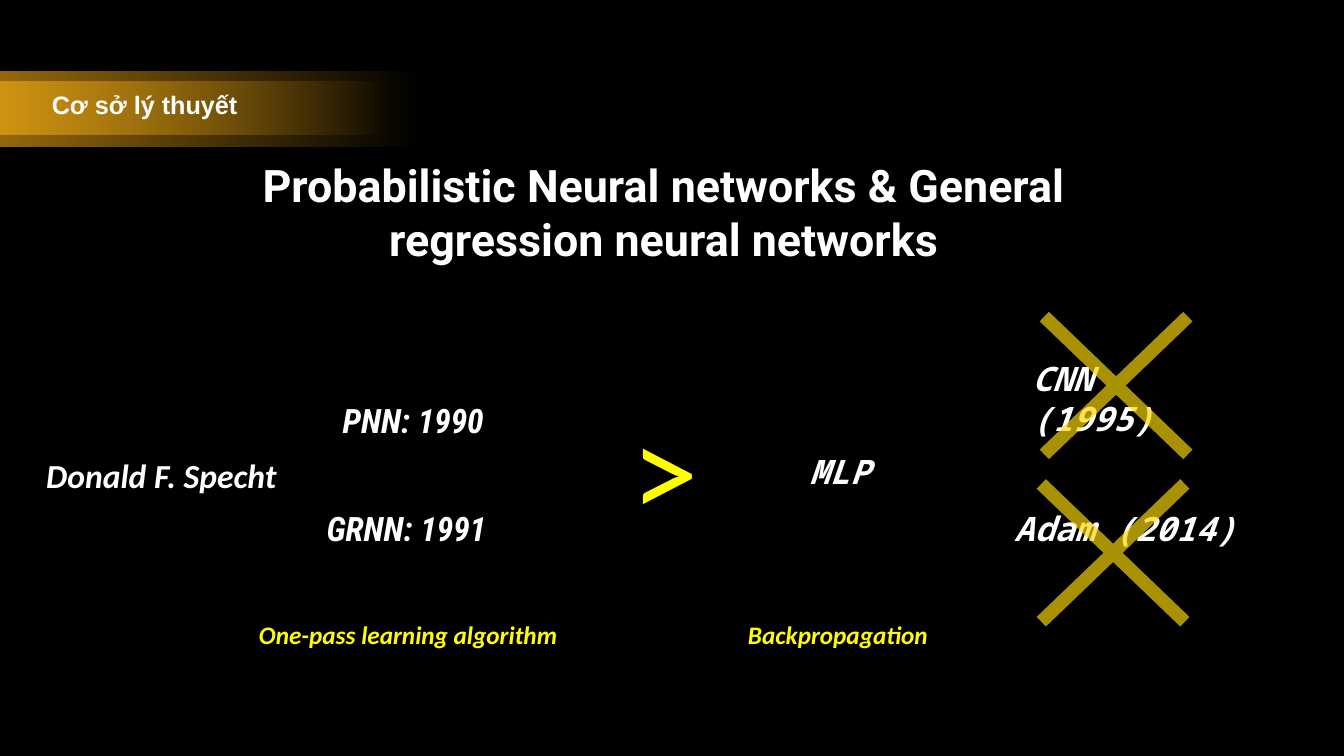
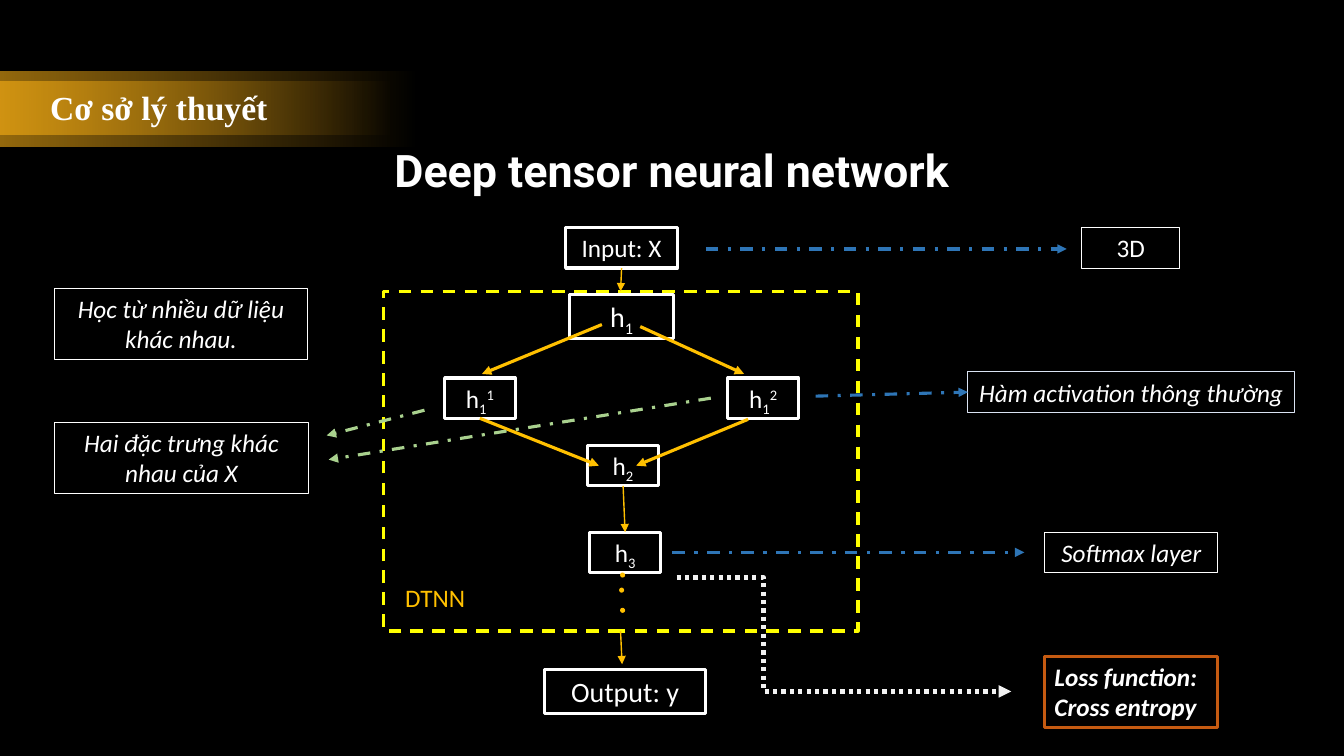
"""Build two slides on the theory of neural networks."""
from dataclasses import dataclass, field
from pptx import Presentation
from pptx.dml.color import RGBColor
from pptx.enum.dml import MSO_LINE
from pptx.enum.shapes import MSO_CONNECTOR, MSO_SHAPE
from pptx.enum.text import MSO_ANCHOR, MSO_AUTO_SIZE, PP_ALIGN
from pptx.oxml.ns import qn
from pptx.oxml.xmlchemy import OxmlElement
from pptx.util import Pt

RECT, OVAL, CROSS = MSO_SHAPE.RECTANGLE, MSO_SHAPE.OVAL, MSO_SHAPE.MATH_MULTIPLY
LEFT, MID = PP_ALIGN.LEFT, PP_ALIGN.CENTER
TOP, CENTER = MSO_ANCHOR.TOP, MSO_ANCHOR.MIDDLE
DASH, DASHDOT, DOT = MSO_LINE.DASH, MSO_LINE.DASH_DOT, MSO_LINE.ROUND_DOT
STRAIGHT, ELBOW = MSO_CONNECTOR.STRAIGHT, MSO_CONNECTOR.ELBOW
GROW = MSO_AUTO_SIZE.SHAPE_TO_FIT_TEXT
PX = 9144
WIDE, HIGH = 1333, 750


def face(name, size, color="FFFFFF", bold=False, italic=False):
    return {"color": color, "font": {"name": name, "size": Pt(size), "bold": bold, "italic": italic}}


@dataclass
class Theme:
    back: str = "000000"
    gold: str = "FAB117"
    cross: str = "FAD706"
    amber: str = "FFC000"
    text: dict = field(default_factory=lambda: {
        "title": face("Roboto", 32, bold=True),
        "arial": face("Arial", 18, bold=True),
        "times": face("Times New Roman", 24, bold=True),
        "name": face("Calibri", 24, bold=True, italic=True),
        "year": face("Roboto Condensed", 24, bold=True, italic=True),
        "mono": face("Noto Sans Mono", 24, bold=True, italic=True),
        "note": face("Calibri", 18, "FFFF00", True, True),
        "sign": face("Calibri", 96, "FFFF00"),
        "node": face("Calibri", 18),
        "big": face("Calibri", 20),
        "side": face("Calibri", 18, italic=True),
        "loss": face("Calibri", 18, bold=True, italic=True),
        "tag": face("Calibri", 18, "FFC000"),
    })
    line: dict = field(default_factory=lambda: {
        "node": ("FFFFFF", 2.25, None),
        "side": ("FFFFFF", 0.75, None),
        "pale": ("DAE3F3", 0.75, None),
        "loss": ("C55A11", 2.25, None),
        "frame": ("FFFF00", 2.25, DASH),
        "thin": ("FFC000", 1, None),
        "flow": ("FFC000", 2.25, None),
        "blue": ("2E75B6", 2.25, DASHDOT),
        "green": ("A9D18E", 2.25, DASHDOT),
        "dots": ("F2F2F2", 3, DOT),
    })


THEME = Theme()
BANDS = [(0, 71, 417, 74), (0, 81, 392, 53)]
HEAD = "Cơ sở lý thuyết"

SPECHT = {
    "head": ("arial", (0, 84, 287, 40)),
    "title": ("Probabilistic Neural networks & General regression neural networks", (196, 152, 925, 118)),
    "labels": [
        ("Donald F. Specht", "name", (36, 446, 294, 50)),
        ("PNN: 1990", "year", (330, 392, 181, 50)),
        ("GRNN: 1991", "year", (314, 499, 181, 50)),
        ("One-pass learning algorithm", "note", (247, 609, 317, 40)),
        (">", "sign", (617, 377, 107, 172)),
        ("MLP", "mono", (793, 442, 107, 50)),
        ("Backpropagation", "note", (732, 609, 230, 40)),
        ("CNN (1995)", "mono", (1014, 350, 209, 50)),
        ("Adam (2014)", "mono", (996, 499, 250, 50)),
    ],
    "crosses": [(970, 251, 274, 263), (967, 417, 274, 263)],
}

TENSOR = {
    "head": ("times", (0, 81, 315, 50)),
    "title": ("Deep tensor neural network", (269, 137, 795, 64)),
    "labels": [("DTNN", "tag", (392, 573, 86, 40))],
    "boxes": {
        "frame": ("", "node", "frame", (380, 289, 471, 337), MID),
        "input": ("Input: X", "node", "node", (561, 226, 111, 40), MID),
        "h1": ("h_1", "big", "node", (565, 292, 103, 44), MID),
        "h11": ("h_1^1", "node", "node", (441, 375, 70, 40), MID),
        "h12": ("h_1^2", "node", "node", (722, 375, 70, 40), MID),
        "h2": ("h_2", "node", "node", (583, 442, 70, 40), MID),
        "h3": ("h_3", "node", "node", (585, 528, 70, 40), MID),
        "output": ("Output: y", "big", "node", (540, 664, 160, 44), MID),
        "shape": ("3D", "node", "side", (1073, 226, 97, 40), MID),
        "active": ("Hàm activation thông thường", "side", "pale", (960, 369, 324, 40), MID),
        "soft": ("Softmax layer", "side", "side", (1036, 528, 172, 40), MID),
        "loss": ("Loss function: Cross entropy", "loss", "loss", (1036, 651, 172, 71), LEFT),
        "learn": ("Học từ nhiều dữ liệu khác nhau.", "side", "side", (54, 286, 251, 71), MID),
        "traits": ("Hai đặc trưng khác nhau của X", "side", "side", (54, 419, 252, 71), MID),
    },
    "links": [
        ("thin", ("input", 2), ("frame", 0)),
        ("thin", ("h2", 2), ("h3", 0)),
        ("thin", ("frame", 2), (617, 659)),
        ("flow", (635, 324), (738, 371)),
        ("flow", (597, 322), (478, 371)),
        ("flow", ("h11", 2), (594, 462)),
        ("flow", (742, 416), (631, 462)),
        ("blue", (809, 393), ("active", 1)),
        ("blue", (700, 247), (1058, 247)),
        ("blue", (667, 548), (1016, 548)),
        ("green", (421, 407), (324, 432)),
        ("green", (705, 395), (326, 456)),
    ],
    "bend": ("dots", (671, 573), (1003, 686), 26000),
    "dots": [(615, 568), (614, 583), (615, 603)],
}


def emu(nums):
    return [n * PX for n in nums]


def rgb(code):
    return RGBColor.from_string(code)


def child(node, tag, **attrs):
    item = OxmlElement(tag)
    for key, val in attrs.items():
        item.set(key, val)
    node.append(item)
    return item


def fade(shape, parts):
    for node, part in zip(shape._element.spPr.iter(qn("a:srgbClr")), parts):
        child(node, "a:alpha", val=str(part * 1000))


def split(text):
    """Yield runs with their baseline; _ lowers and ^ raises the next letter."""
    base, word = 0, ""
    for sign in text:
        if sign in "_^":
            if word:
                yield word, base
            base, word = (-25000 if sign == "_" else 30000), ""
        else:
            word += sign
    yield word, base


def write(shape, text, kind, align=LEFT, anchor=TOP):
    frame, look = shape.text_frame, THEME.text[kind]
    for key, val in {"word_wrap": True, "auto_size": GROW, "vertical_anchor": anchor}.items():
        setattr(frame, key, val)
    para = frame.paragraphs[0]
    para.alignment = align
    for word, base in split(text):
        run = para.add_run()
        run.text = word
        for key, val in look["font"].items():
            setattr(run.font, key, val)
        run.font.color.rgb = rgb(look["color"])
        if base:
            run._r.get_or_add_rPr().set("baseline", str(base))


def label(slide, text, kind, spot, align=LEFT, anchor=TOP):
    write(slide.shapes.add_textbox(*emu(spot)), text, kind, align, anchor)


def stroke(line, kind):
    color, width, dash = THEME.line[kind]
    line.color.rgb = rgb(color)
    line.width = Pt(width)
    if dash:
        line.dash_style = dash


def solid(slide, form, spot, color=None):
    shape = slide.shapes.add_shape(form, *emu(spot))
    shape.shadow.inherit = False
    shape.line.fill.background()
    if color:
        shape.fill.solid()
        shape.fill.fore_color.rgb = rgb(color)
    else:
        shape.fill.background()
    return shape


def box(slide, text, kind, edge, spot, align):
    shape = solid(slide, RECT, spot)
    stroke(shape.line, edge)
    if text:
        write(shape, text, kind, align)
    return shape


def link(slide, kind, start, end, boxes, form=STRAIGHT):
    ends = [(0, 0) if spot[0] in boxes else emu(spot) for spot in (start, end)]
    wire = slide.shapes.add_connector(form, *ends[0], *ends[1])
    for spot, join in ((start, wire.begin_connect), (end, wire.end_connect)):
        if spot[0] in boxes:
            join(boxes[spot[0]], spot[1])
    stroke(wire.line, kind)
    child(wire.line._get_or_add_ln(), "a:tailEnd", type="triangle")
    child(wire._element.spPr, "a:effectLst")
    return wire


def base(deck, data):
    slide = deck.slides.add_slide(deck.slide_layouts[6])
    slide.background.fill.solid()
    slide.background.fill.fore_color.rgb = rgb(THEME.back)
    for spot in BANDS:
        band = solid(slide, RECT, spot)
        band.fill.gradient()
        band.fill.gradient_angle = 0
        for stop in band.fill.gradient_stops:
            stop.color.rgb = rgb(THEME.gold)
        fade(band, (60, 0))
    kind, spot = data["head"]
    label(slide, HEAD, kind, spot, MID, CENTER)
    text, spot = data["title"]
    label(slide, text, "title", spot, MID)
    for item in data["labels"]:
        label(slide, *item)
    return slide


def specht(deck):
    slide = base(deck, SPECHT)
    for spot in SPECHT["crosses"]:
        mark = solid(slide, CROSS, spot, THEME.cross)
        mark.adjustments[0] = 0.05
        fade(mark, (68,))


def tensor(deck):
    slide = base(deck, TENSOR)
    boxes = {name: box(slide, *item) for name, item in TENSOR["boxes"].items()}
    for kind, start, end in TENSOR["links"]:
        link(slide, kind, start, end, boxes)
    kind, start, end, turn = TENSOR["bend"]
    wire = link(slide, kind, start, end, boxes, ELBOW)
    guides = next(wire._element.iter(qn("a:avLst")))
    child(guides, "a:gd", name="adj1", fmla=f"val {turn}")
    for left, top in TENSOR["dots"]:
        solid(slide, OVAL, (left, top, 5, 5), THEME.amber)


def main():
    deck = Presentation()
    deck.slide_width, deck.slide_height = emu((WIDE, HIGH))
    specht(deck)
    tensor(deck)
    deck.save("out.pptx")


if __name__ == "__main__":
    main()
